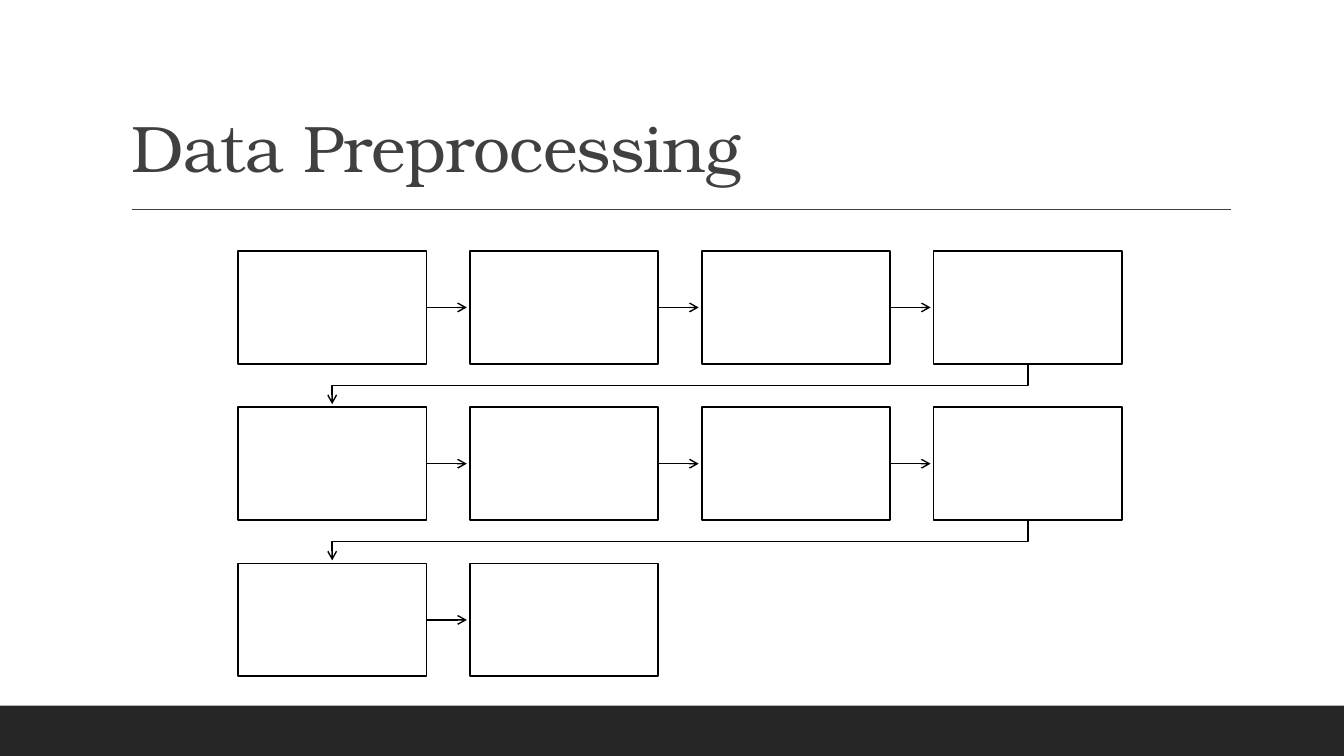
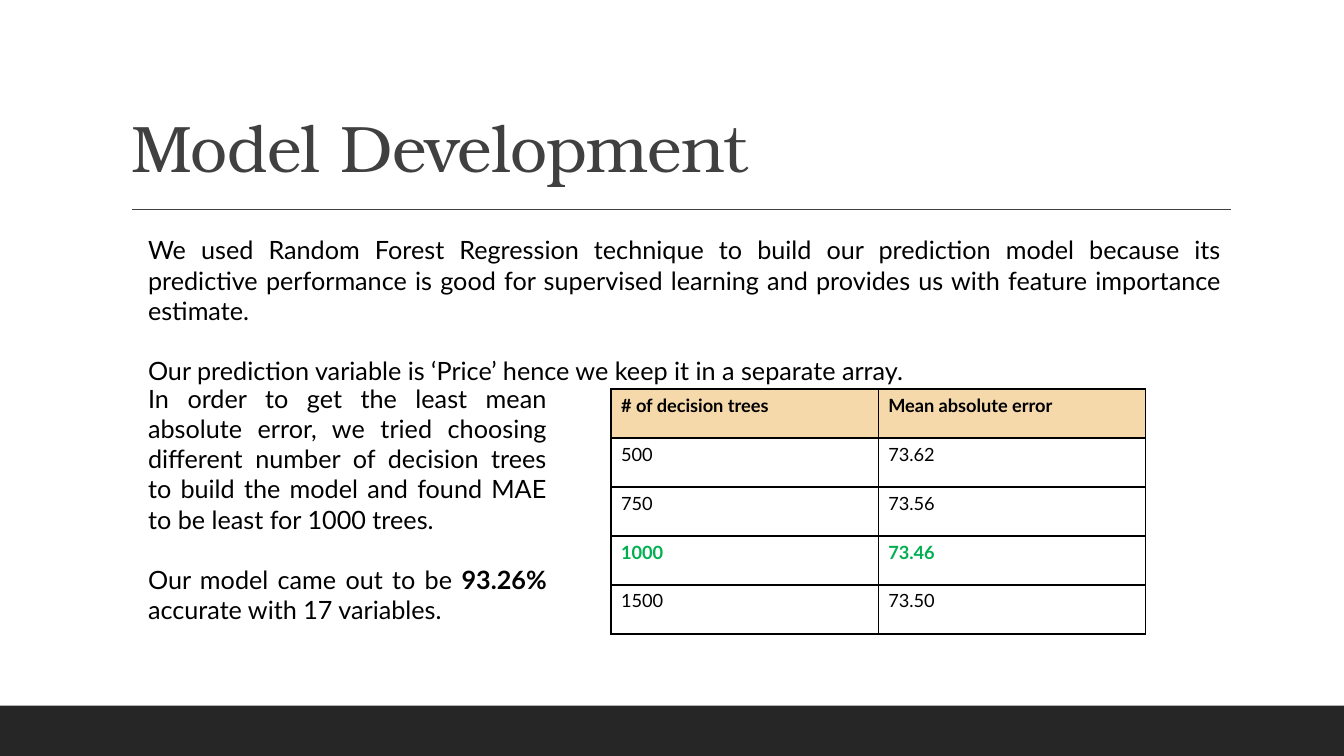
"""Build two slides: a data preprocessing flow and a model development summary."""
from lxml import etree
from pptx import Presentation
from pptx.dml.color import RGBColor
from pptx.enum.shapes import MSO_CONNECTOR, MSO_SHAPE
from pptx.enum.text import MSO_ANCHOR, MSO_AUTO_SIZE, PP_ALIGN
from pptx.oxml.ns import qn
from pptx.util import Inches, Pt

RECTANGLE = MSO_SHAPE.RECTANGLE
STRAIGHT = MSO_CONNECTOR.STRAIGHT
BOTTOM = MSO_ANCHOR.BOTTOM
NO_FIT = MSO_AUTO_SIZE.NONE
LEFT, JUSTIFY = PP_ALIGN.LEFT, PP_ALIGN.JUSTIFY

BLACK = RGBColor(0x00, 0x00, 0x00)
WHITE = RGBColor(0xFF, 0xFF, 0xFF)
BAND = RGBColor(0x26, 0x26, 0x26)
GRAY = RGBColor(0x40, 0x40, 0x40)
SAND = RGBColor(0xF5, 0xD9, 0xAB)
GREEN = RGBColor(0x00, 0xB0, 0x50)
TITLE_FONT, BODY_FONT = "TeX Gyre Bonum", "Lato"
TITLE_ONLY = 5


def add_span(para, text, size=18, font=BODY_FONT, color=BLACK, bold=False):
    """Append one formatted run to a paragraph."""
    span = para.add_run()
    span.text = text
    span.font.size = Pt(size)
    span.font.name = font
    span.font.color.rgb = color
    span.font.bold = bold
    return span


def set_line(shape, color=BLACK, width=1, arrow=False):
    """Give a shape or connector a plain line without a shadow."""
    shape.line.color.rgb = color
    shape.line.width = Pt(width)
    properties = shape._element.spPr
    if arrow:
        etree.SubElement(properties.find(qn("a:ln")), qn("a:tailEnd"), type="arrow")
    etree.SubElement(properties, qn("a:effectLst"))


deck = Presentation()
deck.slide_width, deck.slide_height = Inches(13.33), Inches(7.5)

pages = []
for title in ("Data Preprocessing", "Model Development"):
    page = deck.slides.add_slide(deck.slide_layouts[TITLE_ONLY])
    pages.append(page)

    band = page.shapes.add_shape(RECTANGLE, 0, Inches(7), deck.slide_width, Inches(0.5))
    band.fill.solid()
    band.fill.fore_color.rgb = BAND
    band.line.fill.background()
    band.shadow.inherit = False

    rule = page.shapes.add_connector(
        STRAIGHT, Inches(1.31), Inches(2.08), Inches(12.21), Inches(2.08))
    set_line(rule, GRAY)

    heading = page.shapes.title
    heading.left, heading.top = Inches(1.2), Inches(0.31)
    heading.width, heading.height = Inches(11), Inches(1.59)
    frame = heading.text_frame
    frame.auto_size = NO_FIT
    frame.vertical_anchor = BOTTOM
    para = frame.paragraphs[0]
    para.alignment = LEFT
    para.line_spacing = 0.9
    span = add_span(para, title, size=47, font=TITLE_FONT, color=GRAY)
    span.font._element.set("spc", "-50")

flow_page, model_page = pages

STEPS, COLUMNS = 10, 4
FLOW_LEFT, FLOW_TOP = Inches(2.36), Inches(2.49)
STEP_WIDTH, STEP_HEIGHT = Inches(1.87), Inches(1.12)
COLUMN_PITCH, ROW_PITCH = Inches(2.3), Inches(1.55)
ARROW_GAP = Inches(0.03)

for step in range(STEPS):
    row, column = divmod(step, COLUMNS)
    left = FLOW_LEFT + column * COLUMN_PITCH
    top = FLOW_TOP + row * ROW_PITCH
    right, bottom = left + STEP_WIDTH, top + STEP_HEIGHT

    box = flow_page.shapes.add_shape(RECTANGLE, left, top, STEP_WIDTH, STEP_HEIGHT)
    box.fill.solid()
    box.fill.fore_color.rgb = WHITE
    set_line(box, width=1.25)

    if step == STEPS - 1:
        continue
    if column < COLUMNS - 1:
        middle = top + STEP_HEIGHT // 2
        next_left = left + COLUMN_PITCH - ARROW_GAP
        arrow = flow_page.shapes.add_connector(
            STRAIGHT, right, middle, next_left, middle)
    else:
        start = left + STEP_WIDTH // 2
        end = FLOW_LEFT + STEP_WIDTH // 2
        next_top = top + ROW_PITCH
        turn = (bottom + next_top) // 2
        outline = flow_page.shapes.build_freeform(start, bottom)
        outline.add_line_segments(
            [(start, turn), (end, turn), (end, next_top - ARROW_GAP)], close=False)
        arrow = outline.convert_to_shape()
        arrow.fill.background()
    set_line(arrow, arrow=True)

INTRO = [
    [("We used Random Forest Regression technique to build our prediction model "
      "because its predictive performance is good for supervised learning and "
      "provides us with feature importance estimate.", False)],
    [("Our prediction variable is ‘Price’ hence we keep it in a separate array.", False)],
]
FINDINGS = [
    [("In order to get the least mean absolute error, we tried choosing different "
      "number of decision trees to build the model and found MAE to be least for "
      "1000 trees.", False)],
    [("Our model came out to be ", False), ("93.26%", True),
     (" accurate with 17 variables.", False)],
]
for paragraphs, top, width, height in (
        (INTRO, 2.28, 10.84, 1.31), (FINDINGS, 3.75, 4.15, 2.52)):
    box = model_page.shapes.add_textbox(
        Inches(1.37), Inches(top), Inches(width), Inches(height))
    frame = box.text_frame
    frame.word_wrap = True
    for index, spans in enumerate(paragraphs):
        para = frame.add_paragraph() if index else frame.paragraphs[0]
        para.alignment = JUSTIFY
        para.space_before = Pt(21.6 if index else 0)
        for text, bold in spans:
            add_span(para, text, bold=bold)

ERRORS = [
    ("# of decision trees", "Mean absolute error"),
    ("500", "73.62"),
    ("750", "73.56"),
    ("1000", "73.46"),
    ("1500", "73.50"),
]
BEST_ROW = 3
table = model_page.shapes.add_table(
    len(ERRORS), 2, Inches(6.06), Inches(3.86), Inches(5.3), Inches(2.43)).table
for row, values in enumerate(ERRORS):
    for column, text in enumerate(values):
        cell = table.cell(row, column)
        properties = cell._tc.get_or_add_tcPr()
        for side in ("lnL", "lnR", "lnT", "lnB"):
            border = etree.SubElement(properties, qn(f"a:{side}"), w=str(Pt(1)))
            fill = etree.SubElement(border, qn("a:solidFill"))
            etree.SubElement(fill, qn("a:srgbClr"), val=str(BLACK))
        cell.fill.solid()
        cell.fill.fore_color.rgb = WHITE if row else SAND
        add_span(cell.text_frame.paragraphs[0], text, size=13,
                 color=GREEN if row == BEST_ROW else BLACK,
                 bold=row in (0, BEST_ROW))

deck.save("out.pptx")
